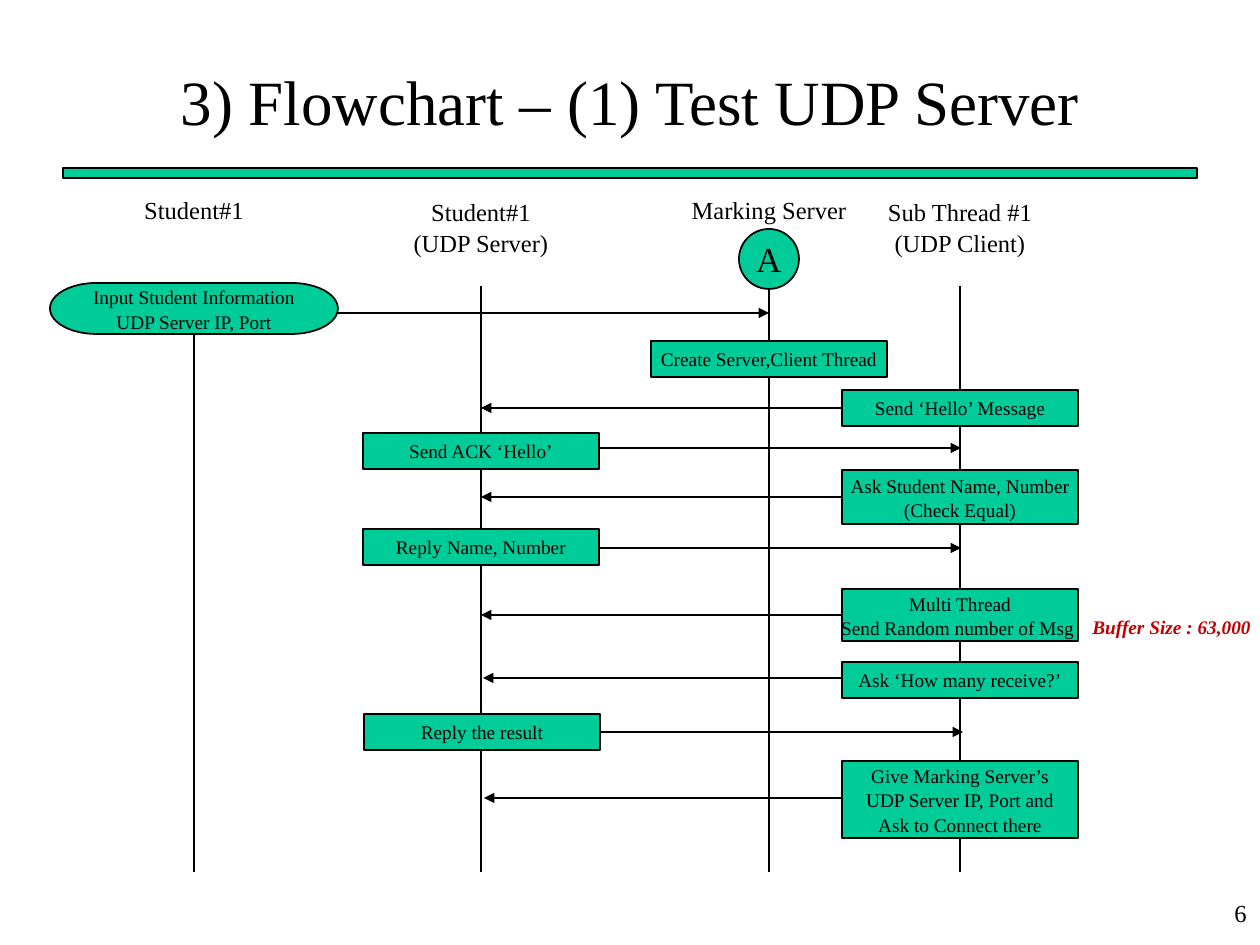
from lxml import etree
from pptx import Presentation
from pptx import util as u
from pptx.dml.color import RGBColor
from pptx.enum import shapes, text
from pptx.oxml.ns import qn

SCALE = 914400 // 126
FONT = "Times New Roman"
COLORS = {"ink": "000000", "fill": "00CC99", "note": "C00000"}
SHAPE = shapes.MSO_SHAPE
ALIGN = text.PP_ALIGN
ANCHOR = text.MSO_ANCHOR

STUDENT, UDP_SERVER, MARKING, CLIENT = 194, 481, 769, 960
LIFE_TOP, LIFE_BOTTOM = 286, 872
STEP_WIDTH = 236
SERVER_LEFT, CLIENT_LEFT = 363, 842

LABELS = [
    (STUDENT, 126, ["Student#1"]),
    (UDP_SERVER, 162, ["Student#1", "(UDP Server)"]),
    (MARKING, 182, ["Marking Server"]),
    (CLIENT, 170, ["Sub Thread #1", "(UDP Client)"]),
]
MESSAGES = [
    (307, MARKING, 313),
    (CLIENT_LEFT, UDP_SERVER, 408),
    (600, 961, 448),
    (CLIENT_LEFT, UDP_SERVER, 497),
    (600, 961, 548),
    (CLIENT_LEFT, UDP_SERVER, 615),
    (843, 483, 678),
    (601, 963, 732),
    (844, 484, 798),
]
STEPS = [
    (651, 341, 36, ["Create Server,Client Thread"]),
    (CLIENT_LEFT, 390, 36, ["Send ‘Hello’ Message"]),
    (SERVER_LEFT, 433, 36, ["Send ACK ‘Hello’"]),
    (CLIENT_LEFT, 470, 54, ["Ask Student Name, Number", "(Check Equal)"]),
    (SERVER_LEFT, 529, 36, ["Reply Name, Number"]),
    (CLIENT_LEFT, 589, 52, ["Multi Thread", "Send Random number of Msg "]),
    (CLIENT_LEFT, 662, 36, ["Ask ‘How many receive?’"]),
    (364, 714, 36, ["Reply the result"]),
    (CLIENT_LEFT, 761, 77, ["Give Marking Server’s", "UDP Server IP, Port and",
                            "Ask to Connect there"]),
]


def px(*values):
    """Turn pixels into EMU lengths."""
    return [u.Emu(value * SCALE) for value in values]


def color(name):
    """Look up a named colour."""
    return RGBColor.from_string(COLORS[name])


def write(frame, lines, size, align=ALIGN.CENTER, anchor=ANCHOR.TOP,
          wrap=False, ink="ink", strong=False):
    """Fill a text frame, one paragraph per line."""
    frame.word_wrap = wrap
    frame.vertical_anchor = anchor
    for index, line in enumerate(lines):
        para = frame.paragraphs[0] if index == 0 else frame.add_paragraph()
        para.alignment = align
        if len(lines) > 1:
            para.line_spacing = 1.06
        span = para.add_run()
        span.text = line
        span.font.name = FONT
        span.font.size = u.Pt(size)
        span.font.color.rgb = color(ink)
        if strong:
            span.font.bold = span.font.italic = True


def add_text(page, area, lines, size, **style):
    """Add a text box."""
    box = page.shapes.add_textbox(*px(*area))
    write(box.text_frame, lines, size, **style)


def add_box(page, kind, area, lines=(), size=11, weight=1):
    """Add a filled, outlined shape with centred text."""
    box = page.shapes.add_shape(kind, *px(*area))
    box.shadow.inherit = False
    box.fill.solid()
    box.fill.fore_color.rgb = color("fill")
    box.line.color.rgb = color("ink")
    box.line.width = u.Pt(weight)
    write(box.text_frame, lines, size, anchor=ANCHOR.MIDDLE)


def add_line(page, start, end, arrow=False):
    """Add a straight line, with an arrowhead at its end if wanted."""
    line = page.shapes.add_connector(shapes.MSO_CONNECTOR.STRAIGHT,
                                     *px(*start, *end))
    line.line.color.rgb = color("ink")
    line.line.width = u.Pt(1)
    props = line.element.find(qn("p:spPr"))
    if arrow:
        etree.SubElement(props.find(qn("a:ln")), qn("a:tailEnd"), type="triangle")
    etree.SubElement(props, qn("a:effectLst"))


def add_title(page, words):
    """Place and format the title placeholder."""
    title = page.shapes.title
    title.left, title.top, title.width, title.height = px(63, 42, 1134, 116)
    write(title.text_frame, [words], 36, anchor=ANCHOR.MIDDLE, wrap=True)


def main():
    """Build the sequence chart."""
    deck = Presentation()
    deck.slide_width, deck.slide_height = px(1260, 945)
    page = deck.slides.add_slide(deck.slide_layouts[5])

    add_title(page, "3) Flowchart – (1) Test UDP Server")
    add_box(page, SHAPE.RECTANGLE, (63, 168, 1134, 10), weight=0.75)
    add_text(page, (997, 892, 262, 53), ["6"], 14, align=ALIGN.RIGHT, wrap=True)

    for center, width, lines in LABELS:
        add_line(page, (center, LIFE_TOP), (center, LIFE_BOTTOM))
        area = (center - width // 2, 189, width, 13 + 30 * len(lines))
        add_text(page, area, lines, 14)
    for start, end, y in MESSAGES:
        add_line(page, (start, y), (end, y), arrow=True)

    add_box(page, SHAPE.FLOWCHART_CONNECTOR, (739, 229, 60, 60), ["A"], 20)
    add_box(page, SHAPE.FLOWCHART_TERMINATOR, (50, 283, 288, 51),
            ["Input Student Information", "UDP Server IP, Port"])
    for left, top, height, lines in STEPS:
        add_box(page, SHAPE.RECTANGLE, (left, top, STEP_WIDTH, height), lines)
    add_text(page, (1080, 609, 185, 36), ["Buffer Size : 63,000"], 11,
             align=ALIGN.LEFT, ink="note", strong=True)

    deck.save("out.pptx")


main()
